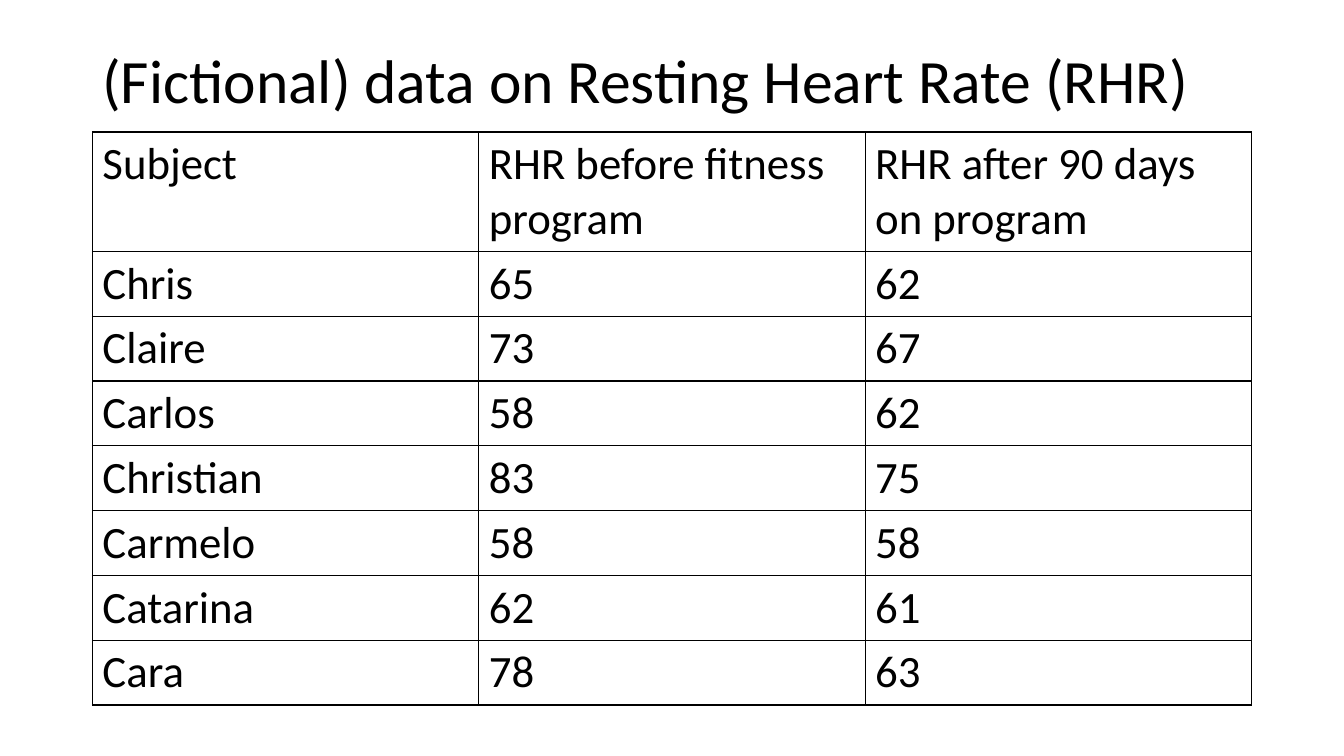
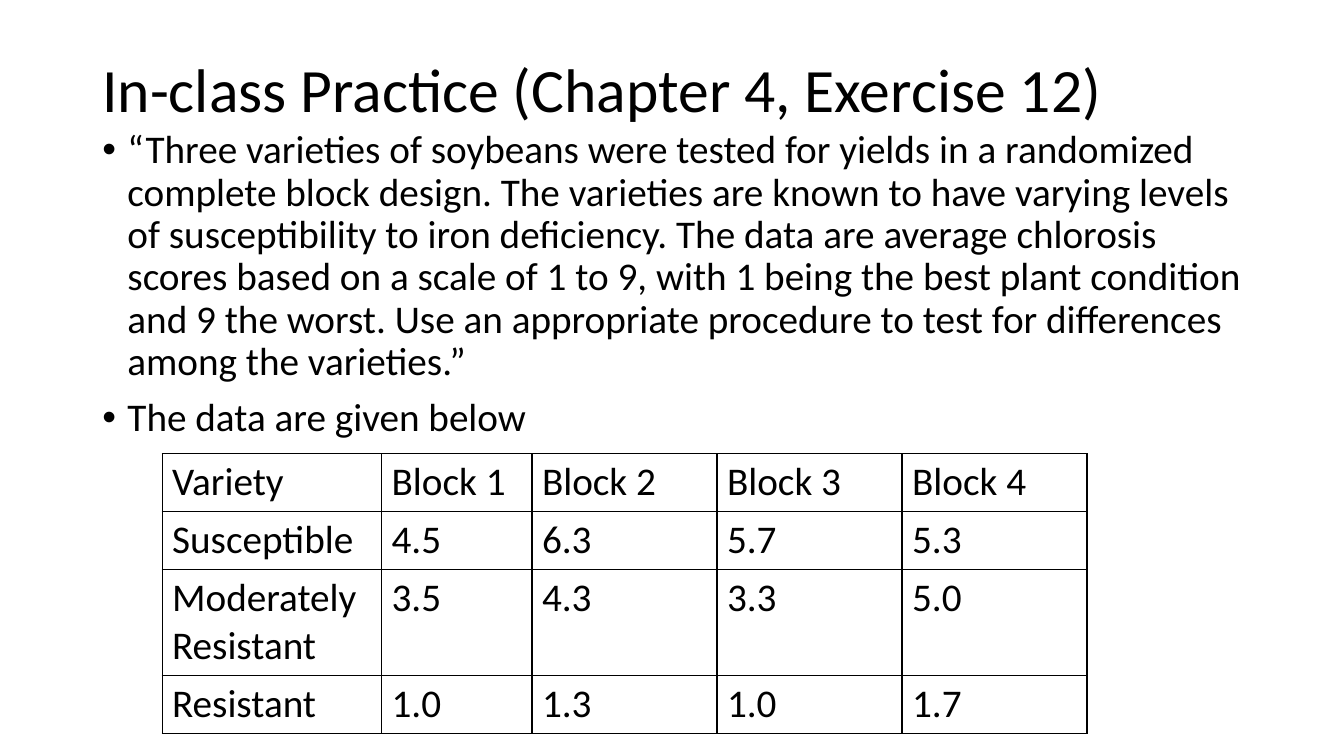
from lxml import etree
from pptx import Presentation
from pptx import util as u
from pptx.dml.color import RGBColor
from pptx.enum import text
from pptx.oxml import ns

BLACK = RGBColor(0x00, 0x00, 0x00)
FONT = "Calibri"
LEFT, WIDTH = 66, 828
TITLE_TOP = 28.8
TITLE_SIZE, BODY_SIZE = 44, 28
BORDER_WIDTH = 1
BULLET_INDENT = 18

deck = Presentation()
deck.slide_width, deck.slide_height = u.Pt(960), u.Pt(540)
blank = deck.slide_layouts[6]


def write(para, words, size, **formats):
    for name, value in formats.items():
        setattr(para, name, value)
    span = para.add_run()
    span.text = words
    for name, value in {"name": FONT, "size": u.Pt(size), "bold": False}.items():
        setattr(span.font, name, value)
    span.font.color.rgb = BLACK


def add_box(page, top, height, anchor):
    box = page.shapes.add_textbox(u.Pt(LEFT), u.Pt(top), u.Pt(WIDTH), u.Pt(height))
    frame = box.text_frame
    frame.word_wrap = True
    frame.vertical_anchor = anchor
    return frame


pages = [
    {
        "title": "(Fictional) data on Resting Heart Rate (RHR)",
        "title_height": 61.2,
        "bullets": [],
        "table_left": LEFT,
        "table_top": 94.3,
        "size": 32,
        "columns": [WIDTH / 3] * 3,
        "heights": [85.3] + [46.3] * 7,
        "rows": [
            ("Subject", "RHR before fitness program", "RHR after 90 days on program"),
            ("Chris", "65", "62"),
            ("Claire", "73", "67"),
            ("Carlos", "58", "62"),
            ("Christian", "83", "75"),
            ("Carmelo", "58", "58"),
            ("Catarina", "62", "61"),
            ("Cara", "78", "63"),
        ],
    },
    {
        "title": "In-class Practice (Chapter 4, Exercise 12)",
        "title_height": 75,
        "bullets": [
            "“Three varieties of soybeans were tested for yields in a randomized "
            "complete block design. The varieties are known to have varying levels "
            "of susceptibility to iron deficiency. The data are average chlorosis "
            "scores based on a scale of 1 to 9, with 1 being the best plant condition "
            "and 9 the worst. Use an appropriate procedure to test for differences "
            "among the varieties.”",
            "The data are given below",
        ],
        "table_left": 115.8,
        "table_top": 324,
        "size": BODY_SIZE,
        "columns": [156.8, 107.4] + [132.2] * 3,
        "heights": [41.4, 41.4, 75.6, 41.4],
        "rows": [
            ("Variety", "Block 1", "Block 2", "Block 3", "Block 4"),
            ("Susceptible", "4.5", "6.3", "5.7", "5.3"),
            ("Moderately Resistant", "3.5", "4.3", "3.3", "5.0"),
            ("Resistant", "1.0", "1.3", "1.0", "1.7"),
        ],
    },
]

for content in pages:
    page = deck.slides.add_slide(blank)
    frame = add_box(page, TITLE_TOP, content["title_height"], text.MSO_ANCHOR.MIDDLE)
    write(frame.paragraphs[0], content["title"], TITLE_SIZE, line_spacing=0.9)

    if content["bullets"]:
        frame = add_box(page, 89.3, 342.7, text.MSO_ANCHOR.TOP)
        for index, words in enumerate(content["bullets"]):
            para = frame.add_paragraph() if index else frame.paragraphs[0]
            write(para, words, BODY_SIZE, line_spacing=0.9, space_before=u.Pt(10))
            props = para._p.get_or_add_pPr()
            props.set("marL", str(u.Pt(BULLET_INDENT)))
            props.set("indent", str(-u.Pt(BULLET_INDENT)))
            etree.SubElement(props, ns.qn("a:buFont"), typeface="Arial")
            etree.SubElement(props, ns.qn("a:buChar"), char="•")

    columns, heights, rows = content["columns"], content["heights"], content["rows"]
    table = page.shapes.add_table(
        len(rows), len(columns),
        u.Pt(content["table_left"]), u.Pt(content["table_top"]),
        u.Pt(sum(columns)), u.Pt(sum(heights)),
    ).table
    for name in ("first_row", "horz_banding"):
        setattr(table, name, False)
    for column, width in zip(table.columns, columns):
        column.width = u.Pt(width)
    for row, height, values in zip(table.rows, heights, rows):
        row.height = u.Pt(height)
        for cell, value in zip(row.cells, values):
            write(cell.text_frame.paragraphs[0], value, content["size"])
            props = cell._tc.get_or_add_tcPr()
            for side in ("lnL", "lnR", "lnT", "lnB"):
                line = etree.SubElement(props, ns.qn(f"a:{side}"), w=str(u.Pt(BORDER_WIDTH)))
                fill = etree.SubElement(line, ns.qn("a:solidFill"))
                etree.SubElement(fill, ns.qn("a:srgbClr"), val=str(BLACK))
            cell.fill.background()

deck.save("out.pptx")
